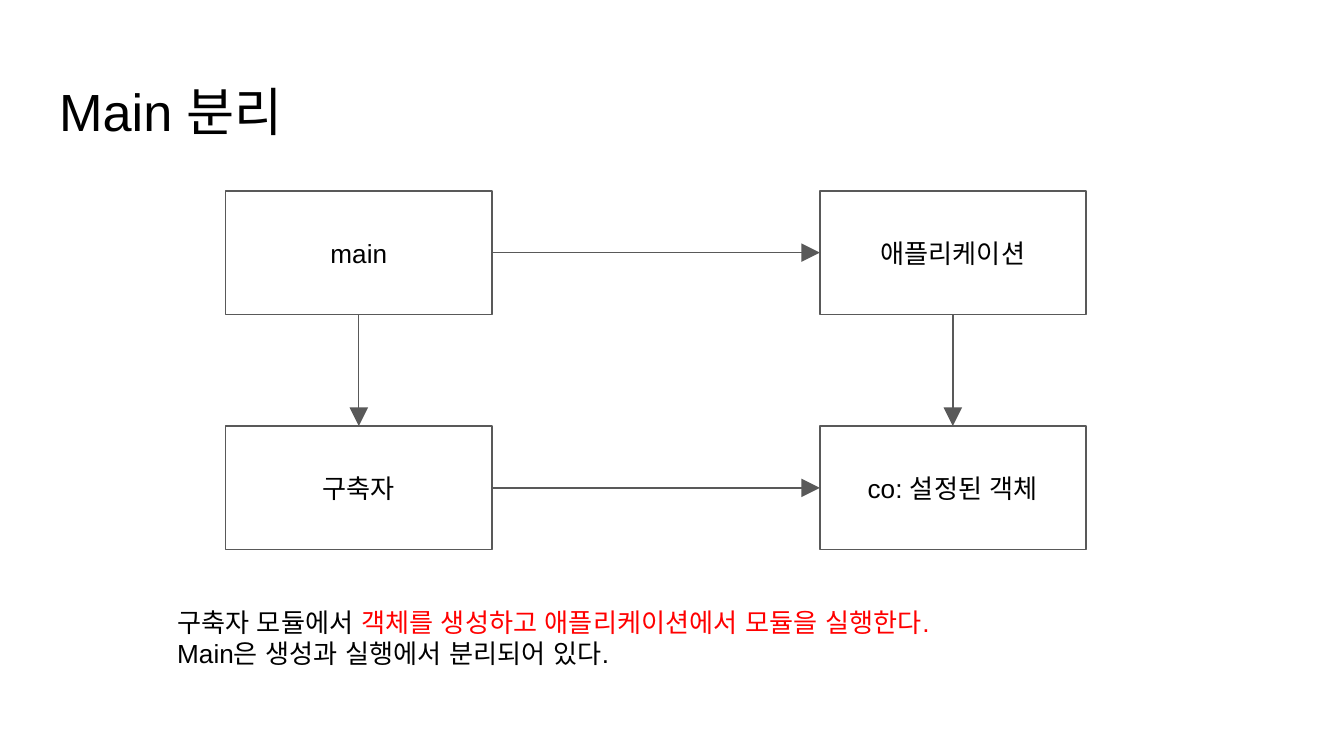
from lxml import etree
from pptx import Presentation
from pptx.dml.color import RGBColor
from pptx.enum import shapes, text
from pptx.oxml import ns
from pptx.util import Inches, Pt

COLORS = {"ink": "000000", "line": "595959", "accent": "FF0000"}
FONT = "Arial"
SLIDE_WIDTH = 10
SLIDE_HEIGHT = SLIDE_WIDTH * 9 / 16
BOX_WIDTH, BOX_HEIGHT = 1.98, 0.92
COLUMNS = (1.68, 6.1)
ROWS = (1.42, 3.17)
TOP, LEFT, BOTTOM, RIGHT = range(4)  # connection sites of a rectangle


def color(name):
    return RGBColor.from_string(COLORS[name])


def add_run(para, words, size, ink="ink"):
    span = para.add_run()
    span.text = words
    span.font.size = Pt(size)
    span.font.name = FONT
    span.font.color.rgb = color(ink)
    east_asian = etree.SubElement(span.font._element, ns.qn("a:ea"))
    east_asian.set("typeface", FONT)


def set_frame(frame, anchor):
    frame.word_wrap = True
    frame.auto_size = text.MSO_AUTO_SIZE.NONE
    frame.vertical_anchor = anchor
    frame.margin_left = frame.margin_right = Inches(0.1)
    frame.margin_top = frame.margin_bottom = Inches(0.1)


def set_title(page, words):
    title = page.shapes.title
    title.left, title.top = Inches(0.34), Inches(0.49)
    title.width, title.height = Inches(9.32), Inches(0.63)
    set_frame(title.text_frame, text.MSO_ANCHOR.TOP)
    para = title.text_frame.paragraphs[0]
    para.alignment = text.PP_ALIGN.LEFT
    add_run(para, words, 28)


def add_box(page, left, top, label):
    box = page.shapes.add_shape(
        shapes.MSO_SHAPE.RECTANGLE,
        Inches(left), Inches(top), Inches(BOX_WIDTH), Inches(BOX_HEIGHT))
    box.shadow.inherit = False
    box.fill.background()
    box.line.color.rgb = color("line")
    box.line.width = Pt(0.75)
    set_frame(box.text_frame, text.MSO_ANCHOR.MIDDLE)
    para = box.text_frame.paragraphs[0]
    para.alignment = text.PP_ALIGN.CENTER
    add_run(para, label, 14)
    return box


def add_arrow(page, start, start_site, end, end_site):
    arrow = page.shapes.add_connector(shapes.MSO_CONNECTOR.STRAIGHT, 0, 0, 0, 0)
    arrow.begin_connect(start, start_site)
    arrow.end_connect(end, end_site)
    arrow.line.color.rgb = color("line")
    arrow.line.width = Pt(0.75)
    etree.SubElement(arrow.line._get_or_add_ln(), ns.qn("a:tailEnd"),
                     type="triangle", w="lg", len="lg")
    etree.SubElement(arrow._element.spPr, ns.qn("a:effectLst"))


def add_note(page, lines):
    note = page.shapes.add_textbox(
        Inches(1.22), Inches(4.41), Inches(6.1), Inches(0.83))
    frame = note.text_frame
    set_frame(frame, text.MSO_ANCHOR.TOP)
    for index, line in enumerate(lines):
        para = frame.add_paragraph() if index else frame.paragraphs[0]
        for words, ink in line:
            add_run(para, words, 14, ink)


def main():
    deck = Presentation()
    deck.slide_width = Inches(SLIDE_WIDTH)
    deck.slide_height = Inches(SLIDE_HEIGHT)
    page = deck.slides.add_slide(deck.slide_layouts[5])
    set_title(page, "Main 분리")

    # Two by two grid of modules
    labels = (("main", "애플리케이션"), ("구축자", "co: 설정된 객체"))
    grid = [[add_box(page, left, top, label)
             for left, label in zip(COLUMNS, row)]
            for top, row in zip(ROWS, labels)]

    # Arrows down each column and across each row
    for upper, lower in zip(*grid):
        add_arrow(page, upper, BOTTOM, lower, TOP)
    for first, second in grid:
        add_arrow(page, first, RIGHT, second, LEFT)

    # Explanation
    add_note(page, (
        (("구축자 모듈에서 ", "ink"),
         ("객체를 생성하고 애플리케이션에서 모듈을 실행한다.", "accent")),
        (("Main은 생성과 실행에서 분리되어 있다.", "ink"),),
    ))
    deck.save("out.pptx")


if __name__ == "__main__":
    main()
